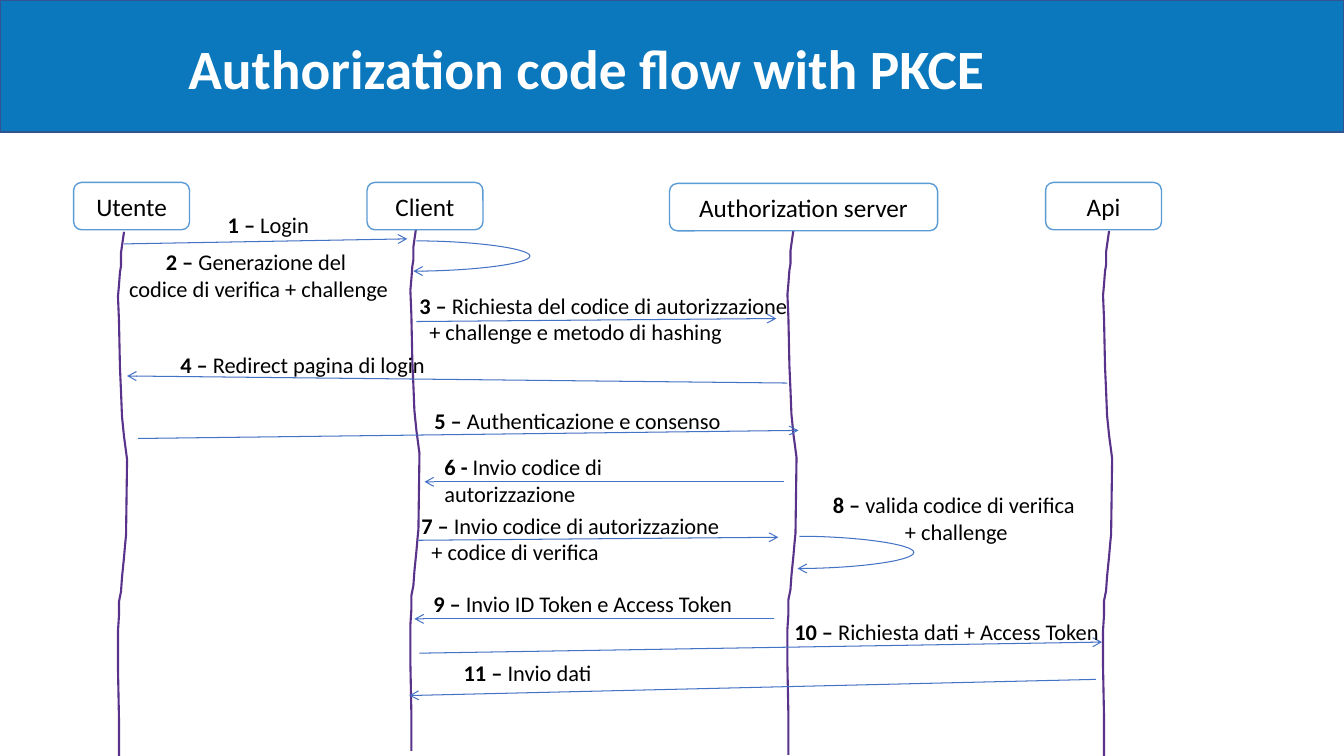
import pptx
import pptx.util
import pptx.dml.color
import pptx.enum.shapes
import pptx.enum.text
import pptx.oxml.ns
from lxml import etree

PX = 9144
FONT = "Calibri"
WHITE = pptx.dml.color.RGBColor(0xFF, 0xFF, 0xFF)
BLACK = pptx.dml.color.RGBColor(0x00, 0x00, 0x00)
BANNER_BLUE = pptx.dml.color.RGBColor(0x0B, 0x78, 0xBD)
BANNER_EDGE = pptx.dml.color.RGBColor(0x32, 0x54, 0x91)
ACTOR_EDGE = pptx.dml.color.RGBColor(0x5B, 0x9B, 0xD5)
LIFELINE_PURPLE = pptx.dml.color.RGBColor(0x59, 0x32, 0x8A)
ARROW_BLUE = pptx.dml.color.RGBColor(0x44, 0x72, 0xC4)

SHAPE = pptx.enum.shapes.MSO_SHAPE
CONNECTOR = pptx.enum.shapes.MSO_CONNECTOR
ALIGN = pptx.enum.text.PP_ALIGN
MIDDLE = pptx.enum.text.MSO_ANCHOR.MIDDLE

ACTORS = [
    ("Utente", 73, 181, 115),
    ("Client", 364, 181, 115),
    ("Authorization server", 664, 182, 266),
    ("Api", 1037, 181, 115),
]
LIFELINE_STARTS = [(123, 230), (413, 224), (787, 228), (1100, 229)]
LIFELINE_WAVE = [
    (-2, 14), (-3, 21), (-3, 34), (-4, 40), (-5, 53), (-6, 64), (-5, 88),
    (-4, 135), (-3, 158), (-2, 183), (0, 203), (2, 218), (3, 226), (2, 301),
    (1, 311), (0, 323), (-2, 343), (-3, 357), (-5, 367), (-5, 381),
    (-6, 396), (-6, 433), (-5, 483), (-5, 521),
]
ARROWS = [
    (123, 242, 404, 237),
    (413, 319, 770, 316),
    (781, 380, 126, 373),
    (137, 435, 792, 427),
    (778, 478, 421, 478),
    (415, 536, 772, 533),
    (768, 614, 411, 614),
    (416, 648, 1093, 637),
    (1087, 674, 406, 690),
]
LOOPS = [(413, 239, 410, 269), (793, 532, 791, 564)]
LOOP_REACH = 113
LABELS = [
    ("1 – ", "Login", 216, 205, 102, 37, False, ALIGN.LEFT),
    ("2 – ", "Generazione del \vcodice di verifica + challenge",
     113, 241, 287, 64, True, ALIGN.CENTER),
    ("3 – ", "Richiesta del codice di autorizzazione",
     406, 285, 395, 37, False, ALIGN.LEFT),
    ("", "+ challenge e metodo di hashing", 416, 311, 314, 37, False, ALIGN.LEFT),
    ("4 – ", "Redirect pagina di login", 169, 343, 617, 37, True, ALIGN.LEFT),
    ("5 – ", "Authenticazione e consenso", 421, 399, 329, 37, True, ALIGN.LEFT),
    ("6 - ", "Invio codice di autorizzazione", 431, 445, 288, 64, True, ALIGN.LEFT),
    ("7 – ", "Invio codice di autorizzazione", 408, 503, 325, 37, False, ALIGN.LEFT),
    ("", "+ codice di verifica", 418, 529, 188, 37, False, ALIGN.LEFT),
    ("8 – ", "valida codice di verifica \v+ challenge",
     805, 482, 287, 64, True, ALIGN.CENTER),
    ("9 – ", "Invio ID Token e Access Token", 420, 581, 324, 37, True, ALIGN.LEFT),
    ("10 – ", "Richiesta dati + Access Token", 778, 608, 326, 37, False, ALIGN.LEFT),
    ("11 – ", "Invio dati", 450, 649, 642, 37, True, ALIGN.LEFT),
]


def emu(*lengths):
    return [pptx.util.Emu(n * PX) for n in lengths]


def style_run(r, size, color, bold=False):
    r.font.name = FONT
    r.font.size = pptx.util.Pt(size)
    r.font.color.rgb = color
    r.font.bold = bold


def style_line(sp, color, width):
    sp.line.color.rgb = color
    sp.line.width = pptx.util.Pt(width)


def add_box(s, kind, box, fill, edge):
    sp = s.shapes.add_shape(kind, *emu(*box))
    sp.shadow.inherit = False
    sp.fill.solid()
    sp.fill.fore_color.rgb = fill
    style_line(sp, edge, 1)
    return sp


def add_title(s, text):
    tf = s.shapes.add_textbox(*emu(177, 35, 1111, 72)).text_frame
    tf.word_wrap = True
    tf.vertical_anchor = MIDDLE
    tf.text = text
    p = tf.paragraphs[0]
    p.line_spacing = 0.9
    style_run(p.runs[0], 39.6, WHITE, True)


def add_actor(s, name, left, top, width):
    sp = add_box(s, SHAPE.ROUNDED_RECTANGLE, (left, top, width, 47), WHITE, ACTOR_EDGE)
    tf = sp.text_frame
    tf.vertical_anchor = MIDDLE
    tf.text = name
    p = tf.paragraphs[0]
    p.alignment = ALIGN.CENTER
    style_run(p.runs[0], 18, BLACK)


def add_lifeline(s, x, y):
    builder = s.shapes.build_freeform(x, y, scale=PX)
    builder.add_line_segments([(x + dx, y + dy) for dx, dy in LIFELINE_WAVE], close=False)
    sp = builder.convert_to_shape()
    sp.shadow.inherit = False
    sp.fill.background()
    style_line(sp, LIFELINE_PURPLE, 1.5)


def add_arrow(s, ends, kind=CONNECTOR.STRAIGHT):
    sp = s.shapes.add_connector(kind, *emu(*ends))
    style_line(sp, ARROW_BLUE, 0.75)
    qn = pptx.oxml.ns.qn
    etree.SubElement(sp.line._get_or_add_ln(), qn("a:tailEnd"), type="arrow")
    etree.SubElement(sp._element.spPr, qn("a:effectLst"))
    return sp


def add_loop(s, ends):
    sp = add_arrow(s, ends, CONNECTOR.CURVE)
    bend = round(-100000 * LOOP_REACH / (ends[0] - ends[2]))
    qn = pptx.oxml.ns.qn
    guides = sp._element.spPr.find(qn("a:prstGeom")).find(qn("a:avLst"))
    etree.SubElement(guides, qn("a:gd"), name="adj1", fmla=f"val {bend}")


def add_label(s, number, text, left, top, width, height, wrap, align):
    tf = s.shapes.add_textbox(*emu(left, top, width, height)).text_frame
    tf.word_wrap = wrap
    tf.auto_size = pptx.enum.text.MSO_AUTO_SIZE.SHAPE_TO_FIT_TEXT
    p = tf.paragraphs[0]
    p.alignment = align
    if number:
        p.text = number
        style_run(p.runs[0], 16, BLACK, True)
    for i, line in enumerate(text.split("\v")):
        if i:
            p.add_line_break()
        r = p.add_run()
        r.text = line
        style_run(r, 16, BLACK)
    qn = pptx.oxml.ns.qn
    for br in p._p.findall(qn("a:br")):
        etree.SubElement(br, qn("a:rPr"), sz="1600")


def main():
    prs = pptx.Presentation()
    prs.slide_width, prs.slide_height = emu(1333, 750)
    s = prs.slides.add_slide(prs.slide_layouts[6])
    add_box(s, SHAPE.RECTANGLE, (0, 0, 1333, 131), BANNER_BLUE, BANNER_EDGE)
    add_title(s, "Authorization code flow with PKCE")
    for start in LIFELINE_STARTS:
        add_lifeline(s, *start)
    for actor in ACTORS:
        add_actor(s, *actor)
    for ends in ARROWS:
        add_arrow(s, ends)
    for ends in LOOPS:
        add_loop(s, ends)
    for label in LABELS:
        add_label(s, *label)
    prs.save("out.pptx")


if __name__ == "__main__":
    main()
